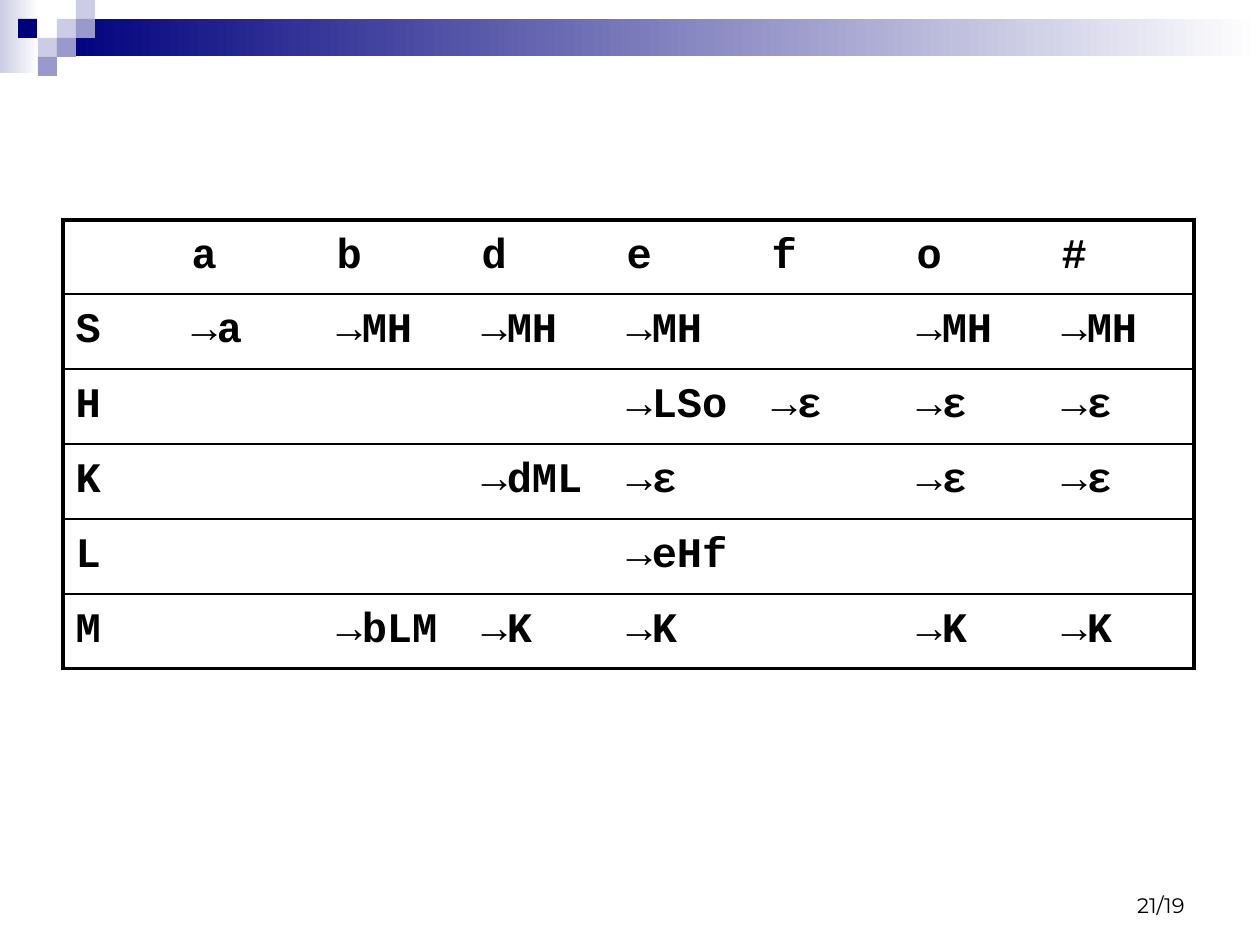
from lxml import etree
from pptx import Presentation
from pptx.dml.color import RGBColor
from pptx.enum.shapes import MSO_SHAPE
from pptx.enum.text import MSO_ANCHOR, PP_ALIGN
from pptx.oxml.ns import qn
from pptx.util import Emu, Pt

RECT = MSO_SHAPE.RECTANGLE
MIDDLE, BOTTOM = MSO_ANCHOR.MIDDLE, MSO_ANCHOR.BOTTOM
RIGHT = PP_ALIGN.RIGHT

COLORS = {"navy": "00007D", "pale": "CCCCE6", "mid": "9999CC",
          "white": "FFFFFF", "black": "000000"}

# Parse table: nonterminals down, input symbols across
PARSE_TABLE = [
    ["", "a", "b", "d", "e", "f", "o", "#"],
    ["S", "→a", "→MH", "→MH", "→MH", "", "→MH", "→MH"],
    ["H", "", "", "", "→LSo", "→ε", "→ε", "→ε"],
    ["K", "", "", "→dML", "→ε", "", "→ε", "→ε"],
    ["L", "", "", "", "→eHf", "", "", ""],
    ["M", "", "→bLM", "→K", "→K", "", "→K", "→K"],
]
PAGE = "21/19"

# Header decoration: box in pixels, start colour of a fade to white
FADES = [((0, 0, 39, 73), "pale"), ((57, 19, 1203, 37), "navy")]
SQUARE = 19
SQUARES = [(57, 19, "pale"), (76, 0, "pale"), (76, 19, "mid"),
           (38, 38, "pale"), (18, 19, "navy"), (57, 38, "mid"),
           (38, 57, "mid")]

TABLE_LEFT, TABLE_TOP = 63, 220
COL_WIDTHS = [116] + [145] * 7
ROW_HEIGHTS = [74] + [75] * 5
THICK, THIN = 2.25, 1


def px(n):
    """Turn picture pixels into EMU."""
    return Emu(round(n * 914400 / 126))


def rgb(name):
    """Look up a named colour."""
    return RGBColor.from_string(COLORS[name])


def add_box(slide, box, color, fade=False):
    """Add a borderless rectangle, solid or fading to white."""
    s = slide.shapes.add_shape(RECT, *map(px, box))
    s.shadow.inherit = False
    s.line.fill.background()
    if fade:
        s.fill.gradient()
        s.fill.gradient_angle = 0
        for stop, name in zip(s.fill.gradient_stops, (color, "white")):
            stop.color.rgb = rgb(name)
    else:
        s.fill.solid()
        s.fill.fore_color.rgb = rgb(color)


def add_run(p, text, size, font, bold=False):
    """Add one black run to a paragraph."""
    r = p.add_run()
    r.text = text
    r.font.size, r.font.name, r.font.bold = Pt(size), font, bold
    r.font.color.rgb = rgb("black")


def set_border(cell, side, width):
    """Draw one cell edge, or hide it when the width is 0."""
    ln = etree.SubElement(cell._tc.get_or_add_tcPr(), qn("a:ln" + side))
    if not width:
        etree.SubElement(ln, qn("a:noFill"))
        return
    ln.set("w", str(Pt(width)))
    fill = etree.SubElement(ln, qn("a:solidFill"))
    etree.SubElement(fill, qn("a:srgbClr"), val=COLORS["black"])


def fill_cell(cell, text, edges):
    """Set the borders, fill and text of a table cell."""
    for side, width in edges.items():
        set_border(cell, side, width)
    cell.fill.background()
    cell.vertical_anchor = MIDDLE
    if text:
        p = cell.text_frame.paragraphs[0]
        before = etree.SubElement(p._p.get_or_add_pPr(), qn("a:spcBef"))
        etree.SubElement(before, qn("a:spcPct"), val="20000")
        add_run(p, text, 24, "Courier New", bold=True)


def add_parse_table(slide):
    """Add the parse table: thick frame, thin lines between rows."""
    n_rows, n_cols = len(ROW_HEIGHTS), len(COL_WIDTHS)
    table = slide.shapes.add_table(
        n_rows, n_cols, px(TABLE_LEFT), px(TABLE_TOP),
        px(sum(COL_WIDTHS)), px(sum(ROW_HEIGHTS))).table
    table.first_row = table.horz_banding = False
    for col, width in zip(table.columns, COL_WIDTHS):
        col.width = px(width)
    for row, height in zip(table.rows, ROW_HEIGHTS):
        row.height = px(height)
    for i, line in enumerate(PARSE_TABLE):
        for j, text in enumerate(line):
            edges = {"L": 0 if j else THICK,
                     "R": THICK if j == n_cols - 1 else 0,
                     "T": THIN if i else THICK,
                     "B": THICK if i == n_rows - 1 else THIN}
            fill_cell(table.cell(i, j), text, edges)


def add_page_number(slide):
    """Add the page number at the bottom right."""
    tf = slide.shapes.add_textbox(*map(px, (903, 861, 294, 63))).text_frame
    tf.word_wrap = True
    tf.vertical_anchor = BOTTOM
    p = tf.paragraphs[0]
    p.alignment = RIGHT
    add_run(p, PAGE, 12, "Montserrat")


prs = Presentation()
prs.slide_width, prs.slide_height = px(1260), px(945)
slide = prs.slides.add_slide(prs.slide_layouts[6])
for box, color in FADES:
    add_box(slide, box, color, fade=True)
for x, y, color in SQUARES:
    add_box(slide, (x, y, SQUARE, SQUARE), color)
add_page_number(slide)
add_parse_table(slide)
prs.save("out.pptx")
